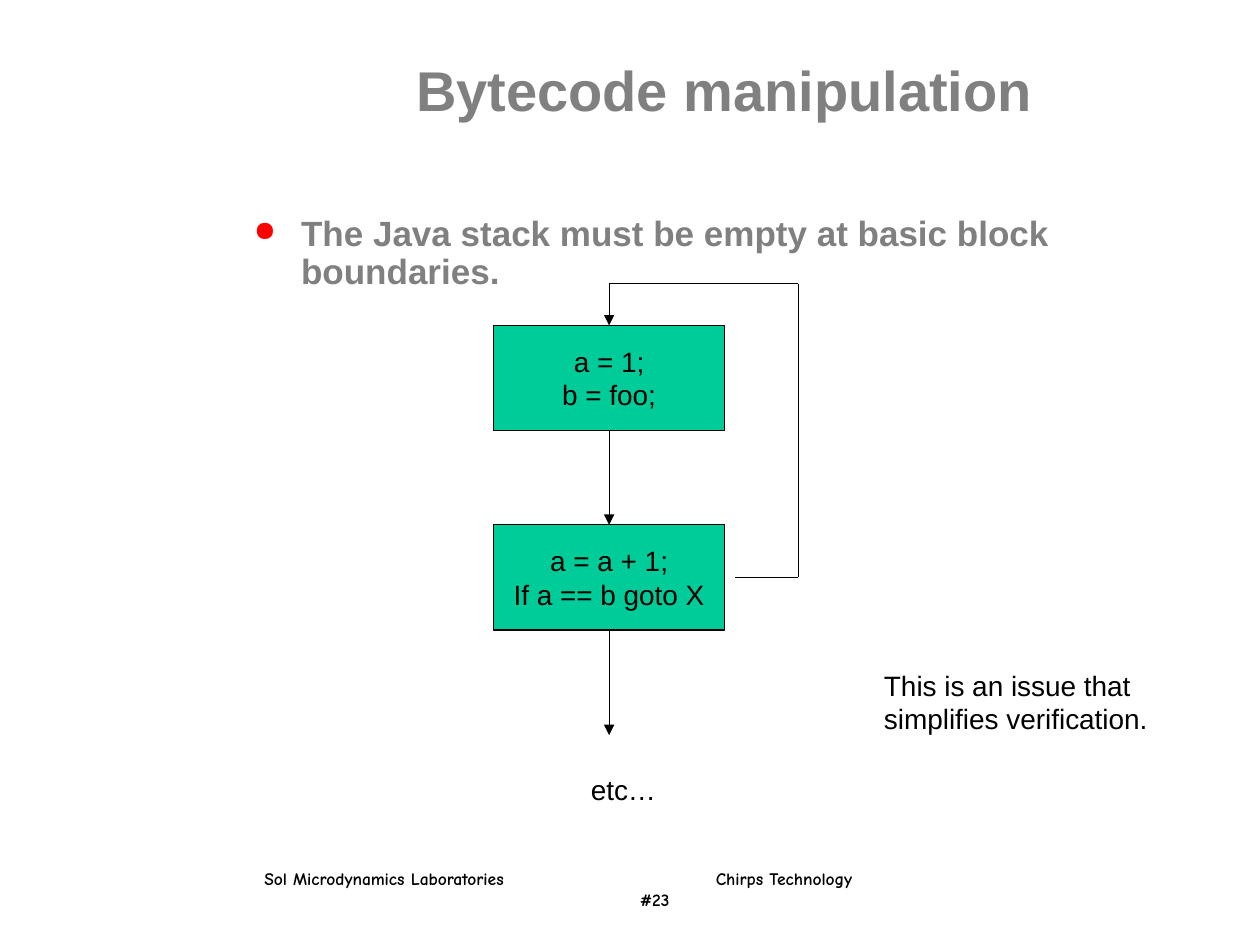
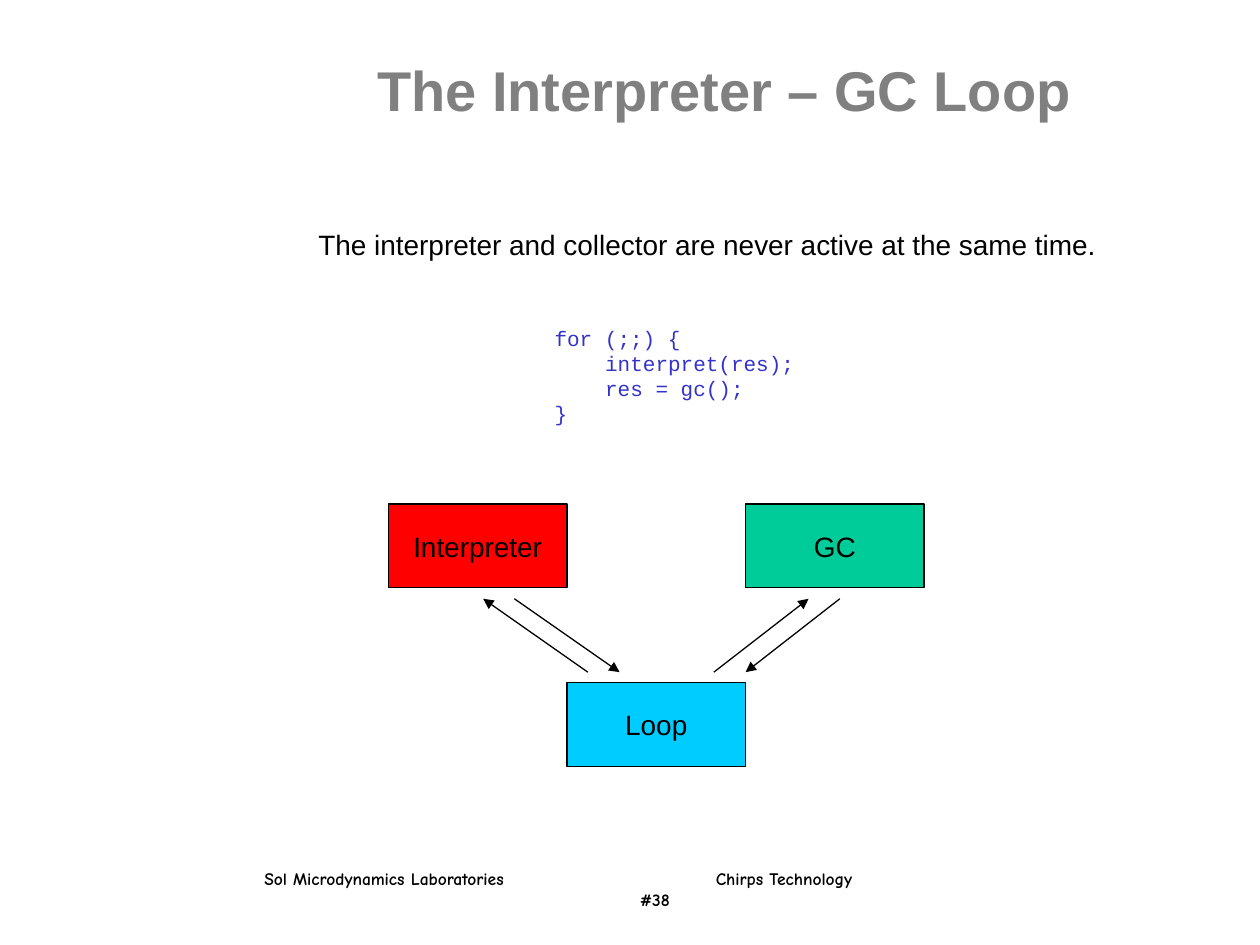
from pptx import Presentation
from pptx.dml.color import RGBColor
from pptx.enum.shapes import MSO_CONNECTOR, MSO_SHAPE
from pptx.enum.text import MSO_ANCHOR, PP_ALIGN
from pptx.oxml import parse_xml
from pptx.oxml.ns import nsdecls
from pptx.util import Cm, Pt

COLORS = {
    "ink": "000000",
    "heading": "808080",
    "bullet": "FF0000",
    "code": "3333CC",
    "green": "00CC99",
    "red": "FF0000",
    "blue": "00CCFF",
}
FONTS = {
    "title": {"name": "Arial", "size": Pt(32), "bold": True},
    "point": {"name": "Arial", "size": Pt(20), "bold": True},
    "body": {"name": "Arial", "size": Pt(16), "bold": False},
    "code": {"name": "Courier New", "size": Pt(12), "bold": False},
    "footer": {"name": "Comic Neue", "size": Pt(10), "bold": True},
}
MARGINS = {
    "margin_left": Cm(0.25),
    "margin_right": Cm(0.25),
    "margin_top": Cm(0.13),
    "margin_bottom": Cm(0.13),
}


def set_all(target, values):
    for attribute, value in values.items():
        setattr(target, attribute, value)


def add_xml(parent, tag, attributes="", content=""):
    parent.append(parse_xml(f"<a:{tag} {nsdecls('a')} {attributes}>{content}</a:{tag}>"))


class Deck:
    def __init__(self):
        self.presentation = Presentation()
        set_all(self.presentation, {"slide_width": Cm(25.4), "slide_height": Cm(19.05)})
        self.slide = None

    def start_slide(self, title, number):
        self.slide = self.presentation.slides.add_slide(self.presentation.slide_layouts[6])
        self.footer(number)
        self.text(5.08, 1.06, 19.05, 1.48, [title], "title", "heading",
                  PP_ALIGN.CENTER, MSO_ANCHOR.MIDDLE)

    def fill_frame(self, frame, lines, font, color, align, anchor):
        set_all(frame, {**MARGINS, "vertical_anchor": anchor})
        for index, line in enumerate(lines):
            paragraph = frame.add_paragraph() if index else frame.paragraphs[0]
            paragraph.alignment = align
            run = paragraph.add_run()
            run.text = line
            set_all(run.font, FONTS[font])
            run.font.color.rgb = RGBColor.from_string(COLORS[color])
        return frame.paragraphs

    def text(self, left, top, width, height, lines, font="body", color="ink",
             align=PP_ALIGN.LEFT, anchor=MSO_ANCHOR.TOP):
        frame = self.slide.shapes.add_textbox(
            Cm(left), Cm(top), Cm(width), Cm(height)).text_frame
        frame.word_wrap = True
        return self.fill_frame(frame, lines, font, color, align, anchor)

    def footer(self, number):
        lines = ["Sol Microdynamics Laboratories\tChirps Technology", f"\t#{number}"]
        paragraphs = self.text(5.08, 17.36, 15.98, 1.12, lines, "footer")
        for paragraph, stop in zip(paragraphs, (9.1, 7.57)):
            add_xml(paragraph._p.get_or_add_pPr(), "tabLst",
                    content=f'<a:tab pos="{Cm(stop)}" algn="l"/>')

    def point(self, left, top, width, height, line):
        paragraph = self.text(left, top, width, height, [line], "point", "heading")[0]
        set_all(paragraph, {"line_spacing": 0.9, "space_before": Pt(5)})
        properties = paragraph._p.get_or_add_pPr()
        properties.set("marL", str(Cm(0.95)))
        properties.set("indent", str(-Cm(0.95)))
        add_xml(properties, "buClr", content=f'<a:srgbClr val="{COLORS["bullet"]}"/>')
        add_xml(properties, "buSzPct", 'val="80000"')
        add_xml(properties, "buChar", 'char="●"')

    def code(self, left, top, width, height, lines):
        paragraphs = self.text(left, top, width, height,
                               [line for _, line in lines], "code", "code")
        for paragraph, (level, _) in zip(paragraphs, lines):
            paragraph._p.get_or_add_pPr().set("marL", str(Cm(1.02 * level)))

    def box(self, left, top, width, height, lines, fill):
        box = self.slide.shapes.add_shape(
            MSO_SHAPE.RECTANGLE, Cm(left), Cm(top), Cm(width), Cm(height))
        box.shadow.inherit = False
        box.fill.solid()
        box.fill.fore_color.rgb = RGBColor.from_string(COLORS[fill])
        self.outline(box.line)
        box.text_frame.word_wrap = False
        self.fill_frame(box.text_frame, lines, "body", "ink",
                        PP_ALIGN.CENTER, MSO_ANCHOR.MIDDLE)

    def outline(self, line):
        line.color.rgb = RGBColor.from_string(COLORS["ink"])
        line.width = Pt(0.75)

    def line(self, start, end, arrow=True):
        connector = self.slide.shapes.add_connector(
            MSO_CONNECTOR.STRAIGHT, *(Cm(value) for value in (*start, *end)))
        self.outline(connector.line)
        properties = connector._element.spPr
        if arrow:
            add_xml(properties.get_or_add_ln(), "tailEnd", 'type="triangle"')
        add_xml(properties, "effectLst")


def build_bytecode(deck):
    deck.start_slide("Bytecode manipulation", 23)
    deck.point(4.87, 4.23, 18.42, 1.91,
               "The Java stack must be empty at basic block boundaries.")

    first_top, second_top, block_height = 6.56, 10.58, 2.12
    for top, statements in ((first_top, ["a = 1;", "b = foo;"]),
                            (second_top, ["a = a + 1;", "If a == b goto X"])):
        deck.box(9.95, top, 4.66, block_height, statements, "green")

    flow_x, loop_x, loop_top = 12.28, 16.09, 5.72
    for start, end in ((first_top + block_height, second_top),
                       (second_top + block_height, 14.82),
                       (loop_top, first_top)):
        deck.line((flow_x, start), (flow_x, end))

    branch_y = second_top + block_height / 2
    loop_back = [(flow_x, loop_top), (loop_x, loop_top), (loop_x, branch_y), (14.82, branch_y)]
    for start, end in zip(loop_back, loop_back[1:]):
        deck.line(start, end, arrow=False)

    deck.text(11.66, 15.45, 2.2, 0.94, ["etc…"])
    deck.text(17.57, 13.34, 6.3, 1.63, ["This is an issue that", "simplifies verification."])


def build_gc_loop(deck):
    deck.start_slide("The Interpreter – GC Loop", 38)
    deck.code(8.89, 6.43, 10.58, 2.3, [
        (2, "for (;;) {"),
        (3, "interpret(res);"),
        (3, "res = gc();"),
        (2, "}"),
    ])

    step = 3.6
    for column, (part, fill) in enumerate(
            (("Interpreter", "red"), ("Loop", "blue"), ("GC", "green"))):
        deck.box(7.83 + column * step, 10.16 + column % 2 * step, step, 1.69, [part], fill)

    upper, lower = 12.07, 13.55
    for loop_x, part_x in ((11.85, 9.74), (14.39, 16.3)):
        deck.line((loop_x, lower), (part_x, upper))
    for part_x, loop_x in ((10.37, 12.49), (16.93, 15.03)):
        deck.line((part_x, upper), (loop_x, lower))

    deck.text(6.17, 4.45, 16.6, 0.94,
              ["The interpreter and collector are never active at the same time."])


def main():
    deck = Deck()
    build_bytecode(deck)
    build_gc_loop(deck)
    deck.presentation.save("out.pptx")


if __name__ == "__main__":
    main()
